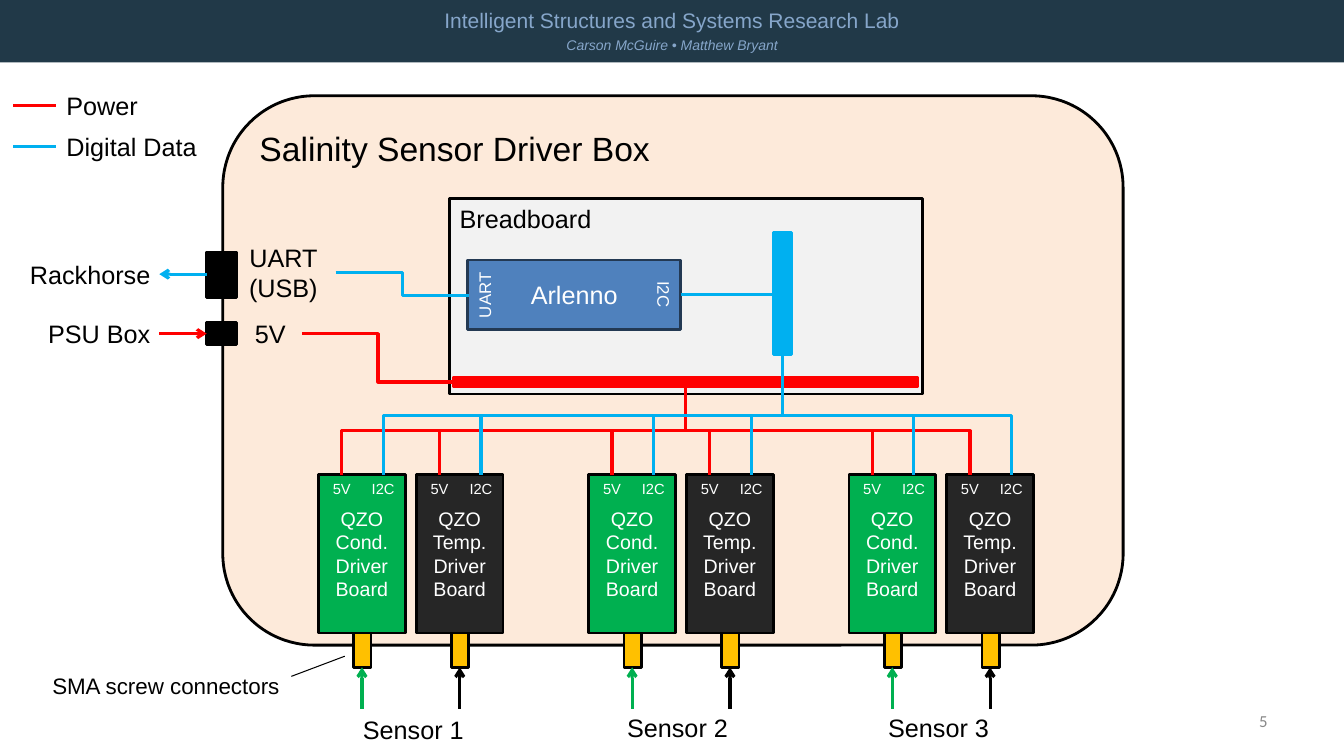
from lxml import etree
from pptx import Presentation
from pptx.dml.color import RGBColor
from pptx.enum.shapes import MSO_CONNECTOR, MSO_SHAPE
from pptx.enum.text import MSO_ANCHOR, PP_ALIGN
from pptx.oxml.ns import qn
from pptx.util import Pt

LEFT, CENTER, RIGHT = PP_ALIGN.LEFT, PP_ALIGN.CENTER, PP_ALIGN.RIGHT
TOP, MIDDLE = MSO_ANCHOR.TOP, MSO_ANCHOR.MIDDLE
RECTANGLE, ROUNDED = MSO_SHAPE.RECTANGLE, MSO_SHAPE.ROUNDED_RECTANGLE
STRAIGHT, ELBOW = MSO_CONNECTOR.STRAIGHT, MSO_CONNECTOR.ELBOW

BLACK = RGBColor(0x00, 0x00, 0x00)
WHITE = RGBColor(0xFF, 0xFF, 0xFF)
NAVY = RGBColor(0x21, 0x39, 0x48)
HEADER_TEXT = RGBColor(0x86, 0xA6, 0xCA)
GRAY = RGBColor(0x88, 0x88, 0x88)
PEACH = RGBColor(0xFD, 0xEA, 0xDA)
PALE = RGBColor(0xF2, 0xF2, 0xF2)
GREEN = RGBColor(0x00, 0xB0, 0x50)
CHARCOAL = RGBColor(0x26, 0x26, 0x26)
GOLD = RGBColor(0xFF, 0xC0, 0x00)
CHIP_BLUE = RGBColor(0x4F, 0x81, 0xBD)
CHIP_EDGE = RGBColor(0x23, 0x39, 0x53)
POWER = RGBColor(0xFF, 0x00, 0x00)
DATA = RGBColor(0x00, 0xB0, 0xF0)

# Content: lengths are px, 100 to the inch
PX = 9144
SLIDE_SIZE = (1333, 750)
LAB = "Intelligent Structures and Systems Research Lab"
AUTHORS = "Carson McGuire • Matthew Bryant"
LEGEND = [("Power", POWER, 105), ("Digital Data", DATA, 145)]
# name, left of first board, left and top of label
SENSORS = [
    ("Sensor 1", 316, 325, 704),
    ("Sensor 2", 584, 587, 702),
    ("Sensor 3", 842, 846, 702),
]
# text, board colour, arrow colour
BOARDS = [
    ("QZO Cond. Driver Board", GREEN, GREEN),
    ("QZO Temp. Driver Board", CHARCOAL, BLACK),
]
# outside name, port label, label box, centre y, port height, arrow start and end, colour
PORTS = [
    ("Rackhorse", "UART (USB)", (229, 235, 104, 71), 272, 45, (205, 158), DATA),
    ("PSU Box", "5V", (236, 311, 64, 40), 331, 22, (158, 205), POWER),
]
BOARD_TOP, BOARD_WIDTH, BOARD_HEIGHT, BOARD_PITCH = 471, 86, 157, 97
POWER_PIN, DATA_PIN = 23, 64
POWER_BUS = (680, 384)
DATA_BUS = (776, 353)

deck = Presentation()
deck.slide_width, deck.slide_height = (side * PX for side in SLIDE_SIZE)
page = deck.slides.add_slide(deck.slide_layouts[6])


def write(shape, text, size=18, color=BLACK, font="Arial", align=LEFT,
          anchor=TOP, italic=False, wrap=True, new=False, before=0):
    frame = shape.text_frame
    frame.word_wrap = wrap
    frame.vertical_anchor = anchor
    para = frame.add_paragraph() if new else frame.paragraphs[0]
    para.alignment = align
    if before:
        para.space_before = Pt(before)
    span = para.add_run()
    span.text = text
    span.font.name, span.font.size = font, Pt(size)
    span.font.color.rgb = color
    span.font.italic = italic


def label(box, text, rotation=0, **style):
    shape = page.shapes.add_textbox(*(side * PX for side in box))
    shape.rotation = rotation
    write(shape, text, **style)
    return shape


def block(box, fill, line=BLACK, kind=RECTANGLE):
    shape = page.shapes.add_shape(kind, *(side * PX for side in box))
    shape.shadow.inherit = False
    shape.fill.solid()
    shape.fill.fore_color.rgb = fill
    if line is None:
        shape.line.fill.background()
    else:
        shape.line.color.rgb = line
        shape.line.width = Pt(2)
    return shape


def wire(start, end, color, width=2.25, kind=STRAIGHT, arrow=False):
    connector = page.shapes.add_connector(
        kind, *(round(value * PX) for value in (*start, *end)))
    connector.line.color.rgb = color
    connector.line.width = Pt(width)
    properties = connector._element.spPr
    if arrow:
        etree.SubElement(properties.find(qn("a:ln")), qn("a:tailEnd"), type="arrow")
    etree.SubElement(properties, qn("a:effectLst"))
    return connector


def riser(pin, bus, color):
    """Elbow that leaves a pin upward: a quarter turn of a sideways elbow."""
    middle_x, middle_y = (pin[0] + bus[0]) / 2, (pin[1] + bus[1]) / 2
    across, down = (pin[0] - bus[0]) / 2, (pin[1] - bus[1]) / 2
    turn, sign = (90, 1) if across < 0 else (270, -1)
    start = (middle_x + sign * down, middle_y - sign * across)
    end = (middle_x - sign * down, middle_y + sign * across)
    connector = wire(start, end, color, kind=ELBOW)
    connector._element.spPr.find(qn("a:xfrm")).set("rot", str(turn * 60000))


# Header and page number
block((0, 0, SLIDE_SIZE[0], 62), NAVY, line=None)
header = label((312, 3, 709, 55), LAB, size=15, color=HEADER_TEXT, align=CENTER)
write(header, AUTHORS, size=10, color=HEADER_TEXT, align=CENTER,
      italic=True, new=True, before=2)
label((956, 695, 311, 40), "5", size=12, color=GRAY, font="Calibri",
      align=RIGHT, anchor=MIDDLE)

# Driver box
driver_box = block((221, 95, 893, 545), PEACH, kind=ROUNDED)
write(driver_box, "Salinity Sensor Driver Box", size=24)

# Driver boards with their plugs, pins and sensor arrows
board_lefts = []
for name, first_left, label_left, label_top in SENSORS:
    for index, (text, fill, arrow_color) in enumerate(BOARDS):
        left = first_left + index * BOARD_PITCH
        board_lefts.append(left)
        board = block((left, BOARD_TOP, BOARD_WIDTH, BOARD_HEIGHT), fill)
        write(board, text, size=14, color=WHITE, align=CENTER, anchor=MIDDLE)
        block((left + 35, BOARD_TOP + BOARD_HEIGHT, 17, 34), GOLD)
        for pin, pin_name in ((POWER_PIN, "5V"), (DATA_PIN, "I2C")):
            label((left + pin - 22, BOARD_TOP, 44, 28), pin_name, size=10.5,
                  color=WHITE, align=CENTER, wrap=False)
        wire((left + 43, 703), (left + 43, 662), arrow_color, arrow=True)
    label((label_left, label_top, 170, 40), name, align=CENTER)

# Plug callout
wire((289, 671), (342, 651), BLACK, width=0.75)
label((42, 662, 258, 37), "SMA screw connectors", size=16)

# Breadboard and microcontroller
write(block((446, 197, 469, 194), PALE), "Breadboard")
chip = block((464, 258, 211, 69), CHIP_BLUE, line=CHIP_EDGE)
write(chip, "Arlenno", color=WHITE, align=CENTER, anchor=MIDDLE)
for left, top, text, rotation in ((444, 278, "UART", 270), (622, 277, "I2C", 90)):
    label((left, top, 73, 30), text, rotation=rotation, size=12,
          color=WHITE, align=CENTER)

# Power wiring
block((450, 374, 460, 10), POWER, line=POWER)
wire((300, 331), (450, 379), POWER, kind=ELBOW)
for left in board_lefts:
    riser((left + POWER_PIN, BOARD_TOP), POWER_BUS, POWER)

# Data wiring
block((767, 231, 18, 121), DATA, line=DATA)
wire((333, 270), (465, 293), DATA, kind=ELBOW)
wire((675, 292), (767, 292), DATA)
for left in board_lefts:
    riser((left + DATA_PIN, BOARD_TOP), DATA_BUS, DATA)

# Ports on the left wall
for outside, port, port_box, center, height, (start, end), color in PORTS:
    label(port_box, port, align=CENTER)
    block((205, center - height // 2, 30, height), BLACK)
    label((13, center - 20, 146, 40), outside, align=RIGHT)
    wire((start, center), (end, center), color, arrow=True)

# Legend
for text, color, center in LEGEND:
    wire((13, center), (56, center), color)
    label((56, center - 20, 165, 40), text)

deck.save("out.pptx")
